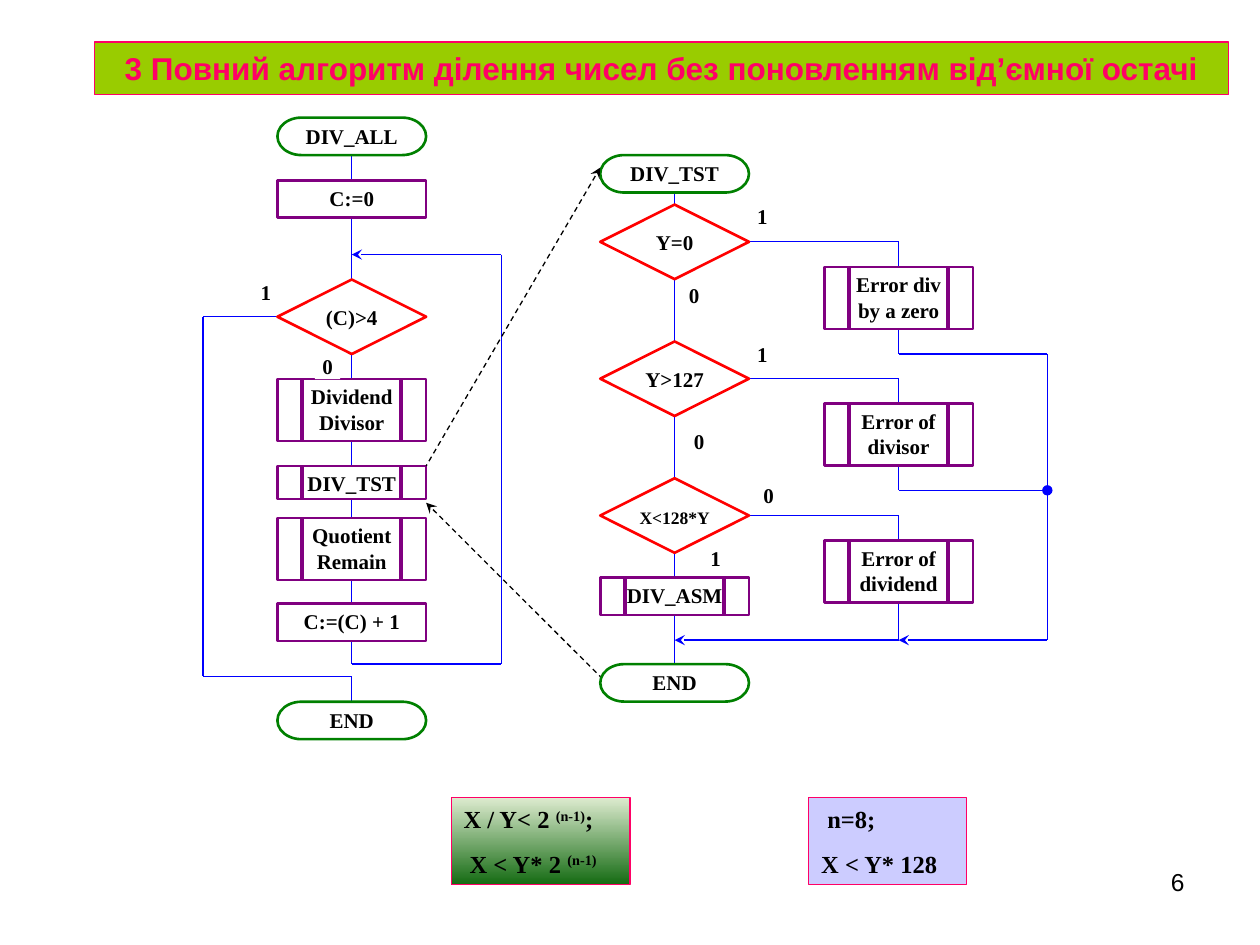
from lxml import etree
from pptx import Presentation
from pptx.dml.color import RGBColor
from pptx.enum.dml import MSO_LINE
from pptx.enum.shapes import MSO_CONNECTOR, MSO_SHAPE
from pptx.enum.text import MSO_ANCHOR, PP_ALIGN
from pptx.oxml.ns import qn
from pptx.util import Pt

RECT = MSO_SHAPE.RECTANGLE
DECISION = MSO_SHAPE.FLOWCHART_DECISION
TERMINATOR = MSO_SHAPE.FLOWCHART_TERMINATOR
STRAIGHT = MSO_CONNECTOR.STRAIGHT
DASH = MSO_LINE.DASH
TOP, MIDDLE = MSO_ANCHOR.TOP, MSO_ANCHOR.MIDDLE
LEFT, CENTER, RIGHT = PP_ALIGN.LEFT, PP_ALIGN.CENTER, PP_ALIGN.RIGHT

WHITE = RGBColor(0xFF, 0xFF, 0xFF)
BLACK = RGBColor(0, 0, 0)
BLUE = RGBColor(0, 0, 0xFF)
RED = RGBColor(0xFF, 0, 0)
GREEN = RGBColor(0, 0x80, 0)
PURPLE = RGBColor(0x80, 0, 0x80)
PINK = RGBColor(0xFF, 0, 0x66)
LIME = RGBColor(0x99, 0xCC, 0)
LAVENDER = RGBColor(0xCC, 0xCC, 0xFF)
PALE_GREEN = RGBColor(0xDD, 0xEB, 0xCF)
DARK_GREEN = RGBColor(0x15, 0x6B, 0x13)

prs = Presentation()
prs.slide_width, prs.slide_height = Pt(720), Pt(540)
slide = prs.slides.add_slide(prs.slide_layouts[6])
shapes = slide.shapes


def add_box(kind, x, y, w, h, lines, fill=WHITE, edge=None, weight=1.5, insets=(0, 0, 0, 0),
            size=12, color=BLACK, font="Times New Roman", align=CENTER, anchor=TOP, gap=0):
    box = shapes.add_shape(kind, Pt(x), Pt(y), Pt(w), Pt(h))
    box.shadow.inherit = False
    box.fill.solid()
    box.fill.fore_color.rgb = fill
    if edge is None:
        box.line.fill.background()
    else:
        box.line.color.rgb = edge
        box.line.width = Pt(weight)
    frame = box.text_frame
    frame.word_wrap = True
    frame.vertical_anchor = anchor
    frame.margin_left, frame.margin_top, frame.margin_right, frame.margin_bottom = map(Pt, insets)
    for i, (indent, *pieces) in enumerate(lines):
        paragraph = frame.paragraphs[0] if i == 0 else frame.add_paragraph()
        paragraph.alignment = align
        if i and gap:
            paragraph.space_before = Pt(gap)
        if indent:
            paragraph._p.get_or_add_pPr().set("marL", str(Pt(indent)))
        for piece in pieces:
            run = paragraph.add_run()
            run.text = piece
            run.font.name, run.font.size, run.font.bold = font, Pt(size), True
            run.font.color.rgb = color
            if piece == "(n-1)":
                run._r.get_or_add_rPr().set("baseline", "30000")
    return box


def add_line(x1, y1, x2, y2, color=BLUE, weight=0.75, dash=None, head=None, tail=None):
    line = shapes.add_connector(STRAIGHT, Pt(x1), Pt(y1), Pt(x2), Pt(y2))
    line.line.color.rgb = color
    line.line.width = Pt(weight)
    if dash:
        line.line.dash_style = dash
    for tag, arrow in (("a:headEnd", head), ("a:tailEnd", tail)):
        if arrow:
            etree.SubElement(line.line._get_or_add_ln(), qn(tag)).set("type", arrow)
    etree.SubElement(line._element.spPr, qn("a:effectLst"))
    return line


add_box(RECT, 54, 24, 648, 30, [(0, "3 Повний алгоритм ділення чисел без поновленням від’ємної остачі")],
        LIME, PINK, 0.75, (7.2, 3.6, 7.2, 3.6), 18, PINK, "Arial", anchor=MIDDLE)

NODE_W = 85
MAIN_X, TEST_X, ERROR_X = 158.5, 343, 471
MAIN_MID, TEST_MID, ERROR_MID = (x + NODE_W / 2 for x in (MAIN_X, TEST_X, ERROR_X))
EXIT_X, LOOP_X, BYPASS_X = 116, 286.5, 598.5
LOOP_TOP, LOOP_BOTTOM, EXIT_Y, MERGE_Y = 145.5, 379.5, 386.5, 365.8
CHECK_Y = 181
LEVELS = [138.2, 216.4, 294.6]
RETURNS = [202.3, 280.2, MERGE_Y]

main_spine = add_line(MAIN_MID, 88.6, MAIN_MID, LOOP_BOTTOM)
exit_drop = add_line(MAIN_MID, EXIT_Y, MAIN_MID, 401)
exit_branch = add_line(EXIT_X, CHECK_Y, MAIN_X, CHECK_Y)
add_line(EXIT_X, CHECK_Y, EXIT_X, EXIT_Y)
add_line(EXIT_X, EXIT_Y, MAIN_MID, EXIT_Y)
add_line(LOOP_X, LOOP_TOP, LOOP_X, LOOP_BOTTOM)
add_line(MAIN_MID, LOOP_BOTTOM, LOOP_X, LOOP_BOTTOM)
add_line(MAIN_MID, LOOP_TOP, LOOP_X, LOOP_TOP, head="stealth")
test_spine = add_line(TEST_MID, 110, TEST_MID, 379.5)
add_line(TEST_MID, MERGE_Y, ERROR_MID, MERGE_Y, head="stealth")
add_line(BYPASS_X, RETURNS[0], BYPASS_X, MERGE_Y)
error_branches = []
for level, back, head, tail in zip(LEVELS, RETURNS, (None, None, "stealth"), (None, "oval", None)):
    error_branches.append(add_line(TEST_X + NODE_W, level, ERROR_MID, level))
    add_line(ERROR_MID, level, ERROR_MID, back)
    add_line(ERROR_MID, back, BYPASS_X, back, head=head, tail=tail)

terminators = [
    add_box(TERMINATOR, x, y, NODE_W, 21.4, [(0, text)], edge=GREEN)
    for x, y, text in [(MAIN_X, 67.2, "DIV_ALL"), (MAIN_X, 401, "END"),
                       (TEST_X, 88.6, "DIV_TST"), (TEST_X, 379.5, "END")]
]
main_start, main_end, test_start, test_end = terminators

for y, text in [(103, "C:=0"), (345, "C:=(C) + 1")]:
    add_box(RECT, MAIN_X, y, NODE_W, 21.4, [(0, text)], edge=PURPLE, insets=(0, 2.9, 0, 0))

decisions = [
    add_box(DECISION, x, mid - 21.3, NODE_W, 42.6, [(0, text)], edge=RED, insets=(0, top, 0, bottom), size=size)
    for x, mid, text, size, top, bottom in [
        (MAIN_X, CHECK_Y, "(C)>4", 12, 3.6, 3.6), (TEST_X, LEVELS[0], "Y=0", 12, 3.6, 3.6),
        (TEST_X, LEVELS[1], "Y>127", 12, 3.6, 3.6), (TEST_X, LEVELS[2], "X<128*Y", 10, 5.8, 0)]
]

subroutines = [
    (MAIN_X, 216.5, 35.5, ["Dividend", "Divisor"]),
    (MAIN_X, 266.3, 19, ["DIV_TST"]),
    (MAIN_X, 296, 35.5, ["Quotient Remain"]),
    (TEST_X, 330, 21.4, ["DIV_ASM"]),
    (ERROR_X, LEVELS[0] + 14.3, 35.5, ["Error div", "by a zero"]),
    (ERROR_X, LEVELS[1] + 14.3, 35.5, ["Error of", "divisor"]),
    (ERROR_X, LEVELS[2] + 14.3, 35.5, ["Error of dividend"]),
]
for x, y, h, lines in subroutines:
    add_box(RECT, x, y, NODE_W, h, [(0, text) for text in lines], edge=PURPLE, insets=(7.2, 2.9, 7.2, 0))
    for bar_x in (x + 14.2, x + NODE_W - 14.2):
        add_line(bar_x, y, bar_x, y + h, PURPLE, 2.25)

main_spine.begin_connect(main_start, 2)
exit_drop.end_connect(main_end, 0)
exit_branch.end_connect(decisions[0], 1)
test_spine.begin_connect(test_start, 2)
test_spine.end_connect(test_end, 0)
for branch, decision in zip(error_branches, decisions[1:]):
    branch.begin_connect(decision, 3)

for x, y, answer in [(144.7, 160, "1"), (180, 202.3, "0"), (428.5, 116.6, "1"), (389.5, 161.3, "0"),
                     (428.5, 195, "1"), (392.4, 244.8, "0"), (432, 275.8, "0"), (401.8, 311.8, "1")]:
    add_box(RECT, x, y, 14.4, 14.4, [(0, answer)])

add_line(TEST_X, 95.8, MAIN_X + NODE_W, 266.3, BLACK, dash=DASH, head="stealth")
add_line(MAIN_X + NODE_W, 287.3, TEST_X, 386.6, BLACK, dash=DASH, head="stealth")

formulas = [
    (257.8, 102.2, [(0, "X / Y< 2 ", "(n-1)", ";"), (3.5, "X < Y* 2 ", "(n-1)")]),
    (462.2, 90, [(3.5, "n=8;"), (0, "X < Y* 128")]),
]
general_rule, byte_rule = [
    add_box(RECT, x, 455.8, w, 49.7, lines, LAVENDER, PINK, 0.75, (7.2, 3.6, 7.2, 3.6),
            14, align=LEFT, gap=8.8)
    for x, w, lines in formulas
]
general_rule.fill.gradient()
general_rule.fill.gradient_angle = 270
for stop, color, position in zip(general_rule.fill.gradient_stops, (PALE_GREEN, DARK_GREEN), (0, 1)):
    stop.color.rgb = color
    stop.position = position

page_number = shapes.add_textbox(Pt(516.2), Pt(491.8), Pt(167.8), Pt(37.4)).text_frame
page_number.word_wrap = True
page_number.paragraphs[0].alignment = RIGHT
digit = page_number.paragraphs[0].add_run()
digit.text = "6"
digit.font.name, digit.font.size = "Arial", Pt(14)
digit.font.color.rgb = BLACK

prs.save("out.pptx")
